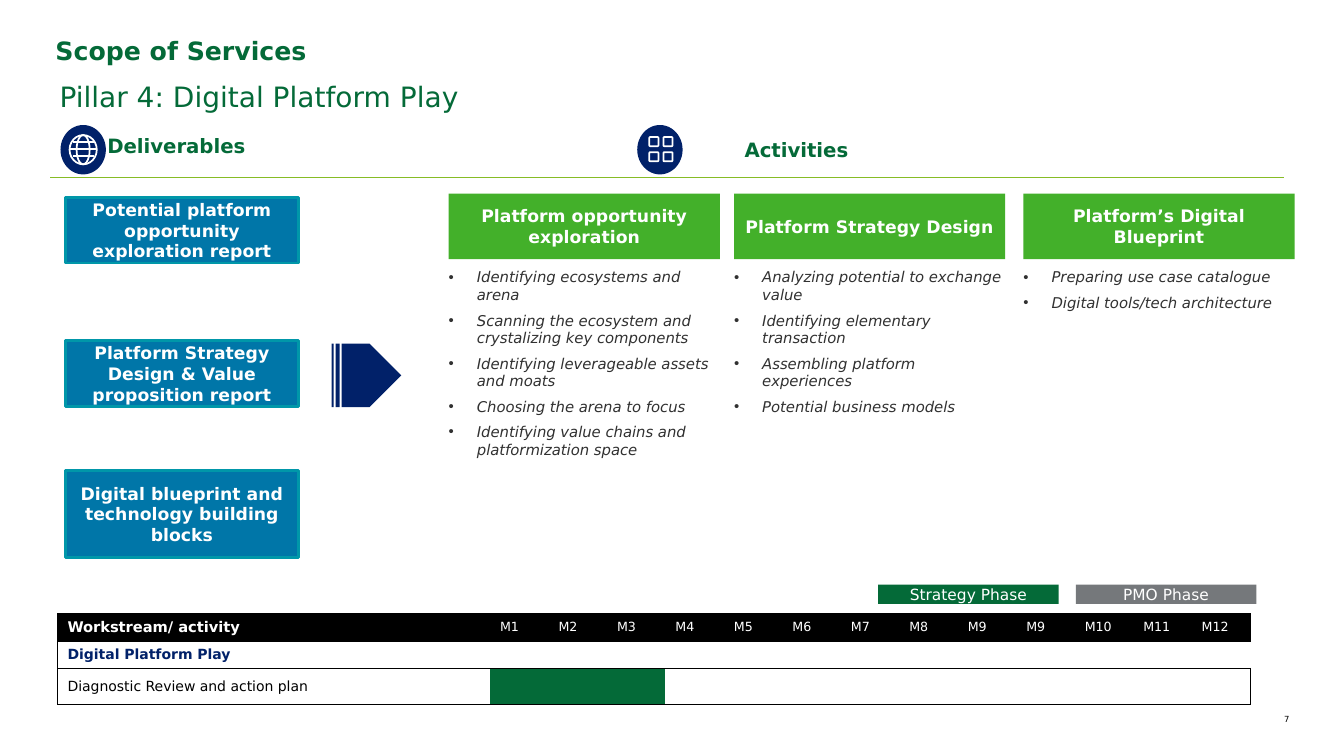
"""Build the scope of services slide for the digital platform pillar."""
from lxml import etree
from pptx import Presentation
from pptx.dml.color import RGBColor
from pptx.enum.shapes import MSO_CONNECTOR, MSO_SHAPE
from pptx.enum.text import MSO_ANCHOR, MSO_AUTO_SIZE, PP_ALIGN
from pptx.oxml.ns import qn
from pptx.util import Inches, Pt

RECTANGLE, OVAL = MSO_SHAPE.RECTANGLE, MSO_SHAPE.OVAL
ROUNDED, ARROW = MSO_SHAPE.ROUNDED_RECTANGLE, MSO_SHAPE.STRIPED_RIGHT_ARROW
STRAIGHT = MSO_CONNECTOR.STRAIGHT
LEFT, CENTER, RIGHT = PP_ALIGN.LEFT, PP_ALIGN.CENTER, PP_ALIGN.RIGHT
JUSTIFY = PP_ALIGN.JUSTIFY
TOP, MIDDLE = MSO_ANCHOR.TOP, MSO_ANCHOR.MIDDLE
NO_FIT = MSO_AUTO_SIZE.NONE

WHITE = RGBColor(0xFF, 0xFF, 0xFF)
BLACK = RGBColor(0x00, 0x00, 0x00)
FOREST = RGBColor(0x04, 0x6A, 0x38)
GREEN = RGBColor(0x43, 0xB0, 0x2A)
LIME = RGBColor(0x86, 0xBC, 0x25)
NAVY = RGBColor(0x01, 0x21, 0x69)
BLUE = RGBColor(0x00, 0x76, 0xA8)
TEAL = RGBColor(0x00, 0x97, 0xA9)
GRAY = RGBColor(0x75, 0x78, 0x7B)
CHARCOAL = RGBColor(0x31, 0x31, 0x31)

FONT = "DejaVu Sans"
GRID = 10
SIDES = ("left", "top", "width", "height")
MARGINS = ("margin_left", "margin_top", "margin_right", "margin_bottom")

deck = Presentation()
deck.slide_width, deck.slide_height = Inches(13.33), Inches(7.5)
page = deck.slides.add_slide(deck.slide_layouts.get_by_name("Comparison"))


def draw(kind, spot, fill=None, line=None, weight=1):
    """Add a preset shape at grid columns and rows."""
    shape = page.shapes.add_shape(kind, *[Inches(step / GRID) for step in spot])
    shape.shadow.inherit = False
    if fill is None:
        shape.fill.background()
    else:
        shape.fill.solid()
        shape.fill.fore_color.rgb = fill
    if line is None:
        shape.line.fill.background()
    else:
        shape.line.color.rgb = line
        shape.line.width = Pt(weight)
    return shape


def write(frame, lines, size, color, bold=False, italic=False, align=LEFT,
          anchor=TOP, insets=(0, 0, 0, 0), spacing=1.0, bullet=False):
    """Fill a text frame with formatted paragraphs."""
    frame.word_wrap, frame.auto_size = True, NO_FIT
    frame.vertical_anchor = anchor
    for side, inset in zip(MARGINS, insets):
        setattr(frame, side, Inches(inset / GRID))
    for number, line in enumerate(lines):
        para = frame.add_paragraph() if number else frame.paragraphs[0]
        para.alignment, para.line_spacing = align, spacing
        para.space_before = Pt(5.3 if number else 0)
        if bullet:
            layout = para._p.get_or_add_pPr()
            layout.set("marL", str(Inches(0.28)))
            layout.set("indent", str(-Inches(0.28)))
            etree.SubElement(layout, qn("a:buChar")).set("char", "•")
        span = para.add_run()
        span.text = line
        formats = {"name": FONT, "size": Pt(size), "bold": bold, "italic": italic}
        for name, value in formats.items():
            setattr(span.font, name, value)
        span.font.color.rgb = color


PHASES = [
    (44.5, "Platform opportunity exploration",
     ["Identifying ecosystems and arena",
      "Scanning the ecosystem and crystalizing key components",
      "Identifying leverageable assets and moats",
      "Choosing the arena to focus",
      "Identifying value chains and platformization space"]),
    (72.8, "Platform Strategy Design",
     ["Analyzing potential to exchange value",
      "Identifying elementary transaction",
      "Assembling platform experiences",
      "Potential business models"]),
    (101.5, "Platform’s Digital Blueprint",
     ["Preparing use case catalogue", "Digital tools/tech architecture"]),
]
LIST_STYLE = {"size": 10.6, "color": CHARCOAL, "italic": True, "bullet": True}
BUTTON_STYLE = {"size": 12.3, "color": WHITE, "bold": True, "align": CENTER,
                "anchor": MIDDLE}

bodies = [
    (0, (5.5, 3.5, 122.1, 3.7), ["Scope of Services"],
     {"size": 18, "color": FOREST, "bold": True}),
    (1, (5.5, 7.5, 91.6, 4.2), ["Pillar 4: Digital Platform Play"],
     {"size": 20, "color": FOREST, "align": JUSTIFY, "insets": (0.4,) * 4}),
]
for index, (column, heading, activities) in enumerate(PHASES, start=2):
    bodies.append((index, (column, 26.6, 26.8, 18.8), activities, LIST_STYLE))
    banner = draw(RECTANGLE, (column, 19.2, 26.9, 6.5), GREEN)
    write(banner.text_frame, [heading], insets=(1.1, 0.6, 1.1, 0.6), **BUTTON_STYLE)

holders = {box.placeholder_format.idx: box for box in page.placeholders}
for index, spot, lines, style in bodies:
    for side, step in zip(SIDES, spot):
        setattr(holders[index], side, Inches(step / GRID))
    write(holders[index].text_frame, lines, **style)

HEADING_STYLE = {"size": 14.1, "color": FOREST, "bold": True, "align": CENTER,
                 "anchor": MIDDLE, "insets": (1.1,) * 4, "spacing": 1.06}
NUMBER_STYLE = {"size": 6, "color": BLACK, "align": RIGHT}
labels = [
    ("Deliverables", (9.2, 12.4, 16.6, 3.9), HEADING_STYLE),
    ("Activities", (65.2, 12.4, 27.6, 4.7), HEADING_STYLE),
    ("7", (124.5, 70.8, 3.4, 1.1), NUMBER_STYLE),
]
for text, spot, style in labels:
    box = page.shapes.add_textbox(*[Inches(step / GRID) for step in spot])
    write(box.text_frame, [text], **style)

for column in (6, 63.2):
    draw(OVAL, (column, 12.4, 4.5, 4.9), NAVY)
for width in (2.7, 1.3):
    draw(OVAL, (8.25 - width / 2, 13.4, width, 2.9), line=WHITE, weight=1.25)
for column in (64.4, 65.8):
    for row in (13.6, 15.1):
        tile = draw(ROUNDED, (column, row, 0.9, 0.9), line=WHITE, weight=1.25)
        tile.adjustments[0] = 0.1

rules = [(5, 127.3, 17.6, LIME, 0.75), (7.2, 9.3, 14.1, WHITE, 1.25),
         (6.9, 9.6, 14.8, WHITE, 1.25), (7.2, 9.3, 15.5, WHITE, 1.25)]
for start, end, row, color, weight in rules:
    ends = [Inches(step / GRID) for step in (start, row, end, row)]
    rule = page.shapes.add_connector(STRAIGHT, *ends)
    rule.line.color.rgb, rule.line.width = color, Pt(weight)
    etree.SubElement(rule._element.spPr, qn("a:effectLst"))

deliverables = [
    ("Potential platform opportunity exploration report", 19.6, 6.5, 1.1),
    ("Platform Strategy Design & Value proposition report", 33.8, 6.5, 1.1),
    ("Digital blueprint and technology building blocks", 46.7, 8.6, 0),
]
for text, row, height, inset in deliverables:
    button = draw(RECTANGLE, (6.5, row, 23.1, height), BLUE, TEAL, 2)
    write(button.text_frame, [text], insets=(inset, 0.6, inset, 0.6), **BUTTON_STYLE)

arrow = draw(ARROW, (32.9, 34.1, 6.9, 6.3), NAVY)
arrow.adjustments[0], arrow.adjustments[1] = 1, 0.5

for text, column, color in (("Strategy Phase", 87.1, FOREST), ("PMO Phase", 106.7, GRAY)):
    key = draw(RECTANGLE, (column, 58, 17.9, 1.9), color)
    write(key.text_frame, [text], 11, WHITE, align=CENTER)

months = "M1 M2 M3 M4 M5 M6 M7 M8 M9 M9 M10 M11 M12".split()
schedule = [["Workstream/ activity"] + months, ["Digital Platform Play"],
            ["Diagnostic Review and action plan"]]
title_styles = [(10.5, WHITE, True), (10, NAVY, True), (10, BLACK, False)]
last = len(months)
plan = page.shapes.add_table(3, last + 1, *[Inches(step / GRID) for step in (5.7, 60.9, 118.8, 9)])
plan.table.first_row = plan.table.horz_banding = False
for style_id in plan._element.iter(qn("a:tableStyleId")):
    style_id.text = "{2D5ABB26-0587-4C30-8999-92F81FD0307C}"
for number, column in enumerate(plan.table.columns):
    column.width = Inches(0.58 if number else 4.29)
for row, height in zip(plan.table.rows, (0.27, 0.27, 0.36)):
    row.height = Inches(height)

for row, texts in enumerate(schedule):
    for column in range(last + 1):
        cell = plan.table.cell(row, column)
        edges = {"L": column == 0, "R": column == last, "T": True, "B": True}
        for edge in [name for name, shown in edges.items() if shown]:
            border = etree.SubElement(cell._tc.get_or_add_tcPr(), qn("a:ln" + edge), w=str(Pt(0.75)))
            paint = etree.SubElement(border, qn("a:solidFill"))
            etree.SubElement(paint, qn("a:srgbClr"), val=str(BLACK))
        active = row == 2 and 1 <= column <= 3
        cell.fill.solid()
        cell.fill.fore_color.rgb = BLACK if row == 0 else FOREST if active else WHITE
        cell.vertical_anchor = MIDDLE
        if column < len(texts):
            size, color, bold = (9, WHITE, False) if column else title_styles[row]
            para = cell.text_frame.paragraphs[0]
            span = para.add_run()
            span.text = texts[column]
            formats = {"name": FONT, "size": Pt(size), "bold": bold}
            for name, value in formats.items():
                setattr(span.font, name, value)
            span.font.color.rgb = color
        else:
            etree.SubElement(cell.text_frame.paragraphs[0]._p, qn("a:endParaRPr"), sz="900")
plan.table.cell(1, 0).merge(plan.table.cell(1, last))

deck.save("out.pptx")
